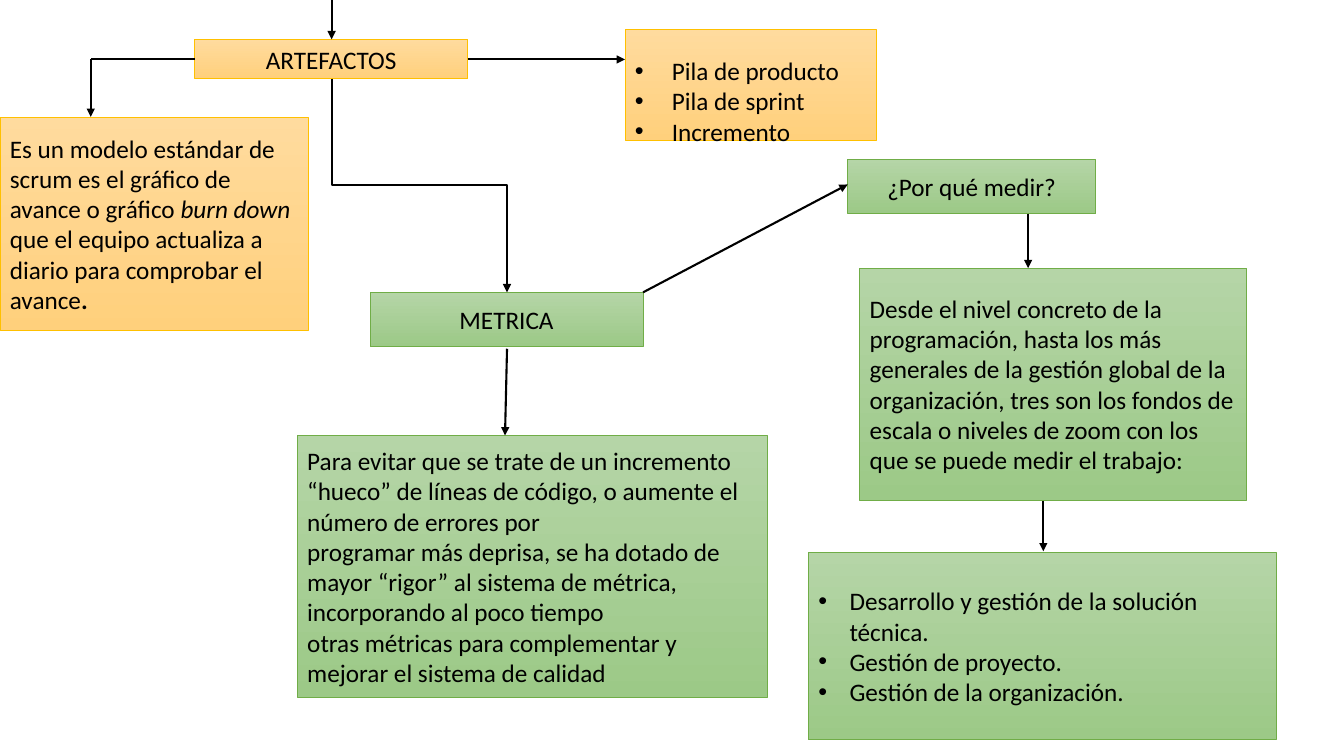
"""Build the slide that maps Scrum artefacts to metrics."""
import pptx
import pptx.dml.color
import pptx.enum.shapes
import pptx.enum.text
import pptx.oxml.ns
import pptx.oxml.xmlchemy
import pptx.util

CELL = pptx.util.Inches(0.1)
COLUMNS, ROWS = 133.33, 75
INDENT = 3.1
qn = pptx.oxml.ns.qn
shapes_enum = pptx.enum.shapes
align = pptx.enum.text.PP_ALIGN
anchor = pptx.enum.text.MSO_ANCHOR

ORANGE = ("FFDB9E", "FFD07C", "FFC000")
GREEN = ("B5D5A7", "9CC987", "70AD47")


def colour(target, value):
    target.rgb = pptx.dml.color.RGBColor.from_string(value)


def style_line(connector, arrow):
    colour(connector.line.color, "000000")
    connector.line.width = pptx.util.Pt(1.5)
    properties = connector._element.spPr
    if arrow:
        outline = properties.find(qn("a:ln"))
        outline.append(outline.makeelement(qn("a:tailEnd"), {"type": "triangle"}))
    properties.append(properties.makeelement(qn("a:effectLst"), {}))


deck = pptx.Presentation()
deck.slide_width = round(COLUMNS * CELL)
deck.slide_height = ROWS * CELL
page = deck.slides.add_slide(deck.slide_layouts[6])

# Each box: column, row, width, height, palette, layout, paragraphs made of spans.
boxes = [
    (19.3, 3.9, 27.1, 3.9, ORANGE, "title", [["ARTEFACTOS"]]),
    (62, 2.9, 24.9, 11, ORANGE, "bullets",
     [[" Pila de producto"], [" Pila de sprint"], [" Incremento"]]),
    (0, 11.6, 30.6, 21.2, ORANGE, "text",
     [["Es un modelo estándar de scrum es el gráfico de avance o gráfico ",
       "burn down ",
       "que el equipo actualiza a diario para comprobar el avance", "."]]),
    (36.7, 29, 27.1, 5.4, GREEN, "title", [["METRICA"]]),
    (29.5, 43.2, 46.6, 26, GREEN, "text",
     [["Para evitar que se trate de un incremento “hueco” de líneas de código, "
       "o aumente el número de errores por"],
      ["programar más deprisa, se ha dotado de mayor “rigor” al sistema de "
       "métrica, incorporando al poco tiempo"],
      ["otras métricas para complementar y mejorar el sistema de calidad"]]),
    (84.1, 15.8, 24.6, 5.4, GREEN, "title", [["¿Por qué medir?"]]),
    (85.3, 26.6, 38.4, 23, GREEN, "text",
     [["Desde el nivel concreto de la programación, hasta los más generales "
       "de la gestión global de la"],
      ["organización, tres son los fondos de escala o niveles de zoom con los "
       "que se puede medir el trabajo:"]]),
    (80.2, 54.8, 46.4, 18.6, GREEN, "bullets",
     [["Desarrollo y gestión de la solución técnica."],
      ["Gestión de proyecto."], ["Gestión de la organización."]]),
]
emphasis = {"burn down ": "italic", ".": "bold"}

for column, row, width, height, palette, layout, paragraphs in boxes:
    box = page.shapes.add_shape(
        shapes_enum.MSO_SHAPE.RECTANGLE,
        *(round(length * CELL) for length in (column, row, width, height)))
    box.shadow.inherit = False
    box.fill.gradient()
    box.fill.gradient_angle = 270
    for stop, shade in zip(box.fill.gradient_stops, palette):
        colour(stop.color, shade)
        stop.position = palette.index(shade)
    colour(box.line.color, palette[2])
    box.line.width = pptx.util.Pt(0.5)
    frame = box.text_frame
    frame.word_wrap = True
    frame.vertical_anchor = anchor.MIDDLE
    if layout == "bullets" and palette is ORANGE:
        frame.vertical_anchor = anchor.TOP
        frame.margin_top = round(2.6 * CELL)
        frame.margin_bottom = 0
    for number, spans in enumerate(paragraphs):
        para = frame.add_paragraph() if number else frame.paragraphs[0]
        para.alignment = align.CENTER if layout == "title" else align.LEFT
        if layout == "bullets":
            properties = para._p.get_or_add_pPr()
            properties.set("marL", str(round(INDENT * CELL)))
            properties.set("indent", str(round(-INDENT * CELL)))
            for tag, attributes in (("a:buFont", {"typeface": "Arial"}),
                                    ("a:buChar", {"char": "•"})):
                properties.append(properties.makeelement(qn(tag), attributes))
        for words in spans:
            span = para.add_run()
            span.text = words
            span.font.name = "Calibri"
            span.font.size = pptx.util.Pt(18)
            colour(span.font.color, "000000")
            if words in emphasis:
                setattr(span.font, emphasis[words], True)

straight_lines = [
    (32.9, 0, 32.9, 3.9, True),
    (46.4, 5.9, 62, 5.9, True),
    (19.3, 5.9, 9, 5.9, False),
    (9, 5.9, 9, 11.6, True),
    (63.8, 29, 84.1, 18.3, True),
    (50.3, 34.6, 50.1, 43.2, True),
    (102, 21.2, 102, 26.6, True),
    (103.5, 49.7, 103.5, 54.7, True),
]
for *ends, arrow in straight_lines:
    connector = page.shapes.add_connector(
        shapes_enum.MSO_CONNECTOR.STRAIGHT, *(round(end * CELL) for end in ends))
    style_line(connector, arrow)

start_column, start_row, end_column, end_row = 32.9, 7.8, 50.3, 29
middle_column = (start_column + end_column) / 2
middle_row = (start_row + end_row) / 2
half_drop = (end_row - start_row) / 2
half_shift = (end_column - start_column) / 2
turned_ends = (middle_column + half_drop, middle_row - half_shift,
               middle_column - half_drop, middle_row + half_shift)
elbow = page.shapes.add_connector(
    shapes_enum.MSO_CONNECTOR.ELBOW, *(round(end * CELL) for end in turned_ends))
elbow._element.spPr.find(qn("a:xfrm")).set("rot", str(270 * 60000))
style_line(elbow, True)

deck.save("out.pptx")
